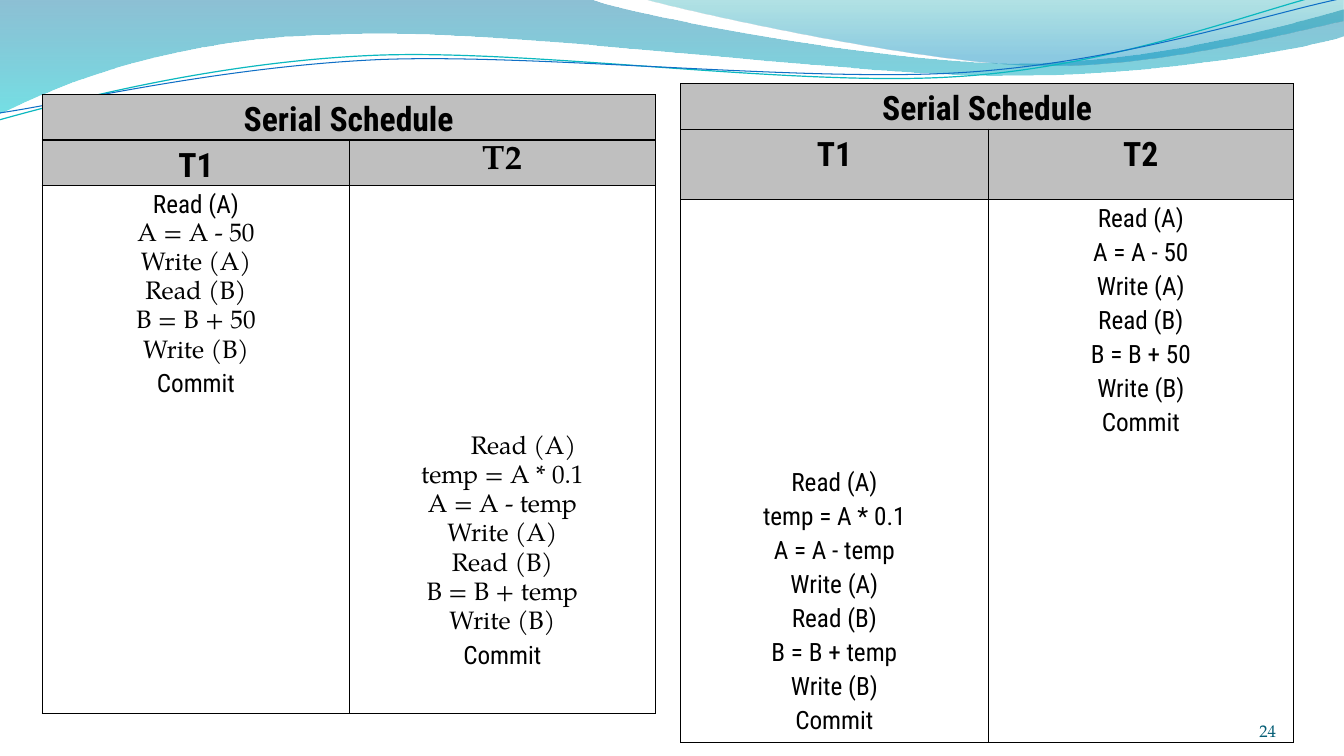
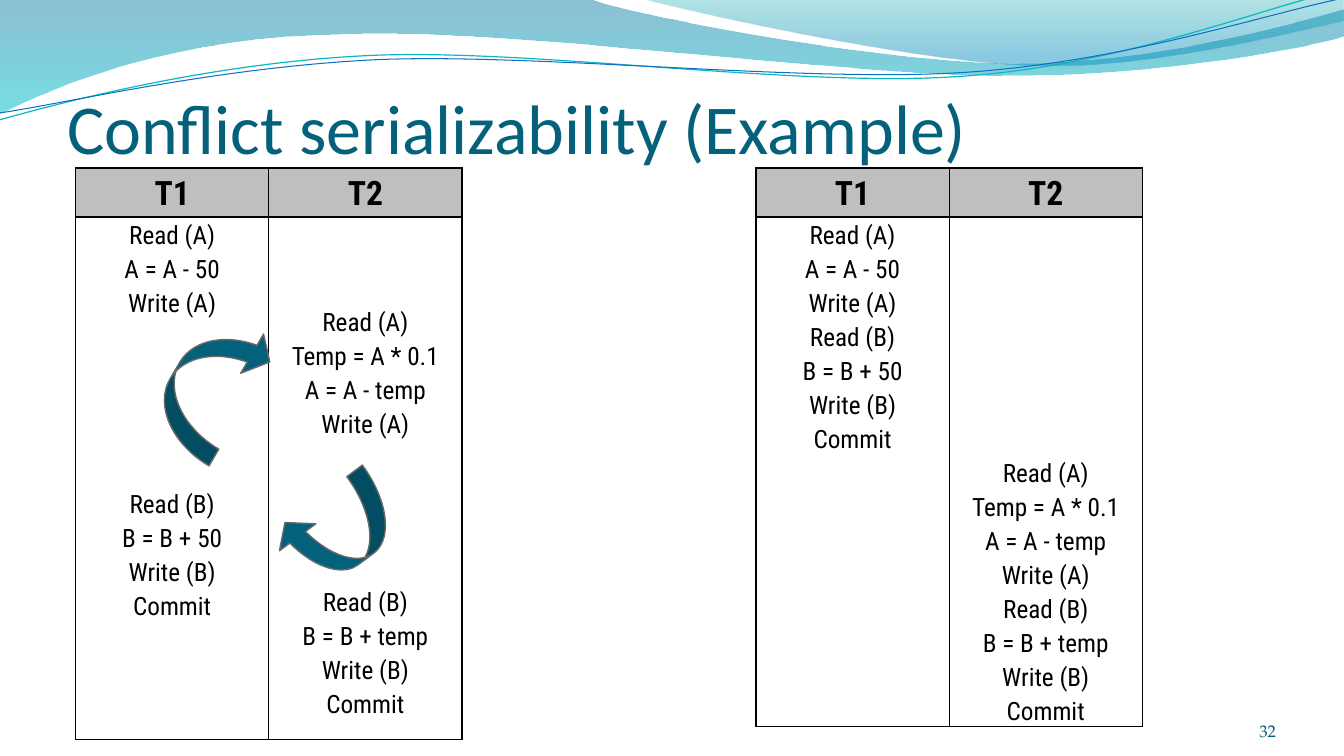
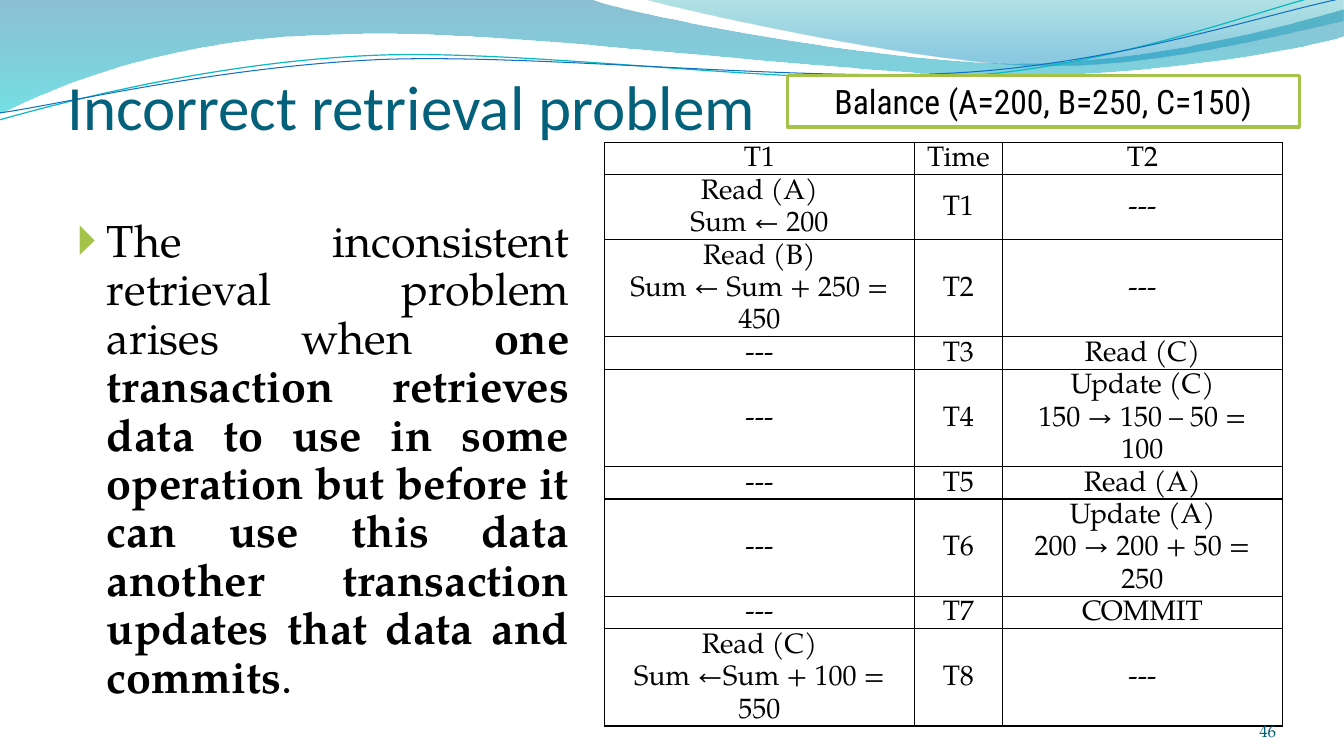
from lxml import etree
from pptx import Presentation
from pptx.dml.color import RGBColor
from pptx.enum import shapes, text
from pptx.oxml import ns
from pptx.util import Pt

COLORS = {
    "black": "000000", "white": "FFFFFF", "header": "BFBFBF", "title": "04617B",
    "number": "045D75", "accent": "A5C249", "outline": "696969",
    "teal line": "0AB8BF", "blue line": "0F6FC6",
}
CONDENSED, SERIF, SANS = "Roboto Condensed", "TeX Gyre Pagella", "Calibri"

WAVES = [
    {"start": (-0.7, -0.4),
     "steps": [[(422.6, -0.4)],
               [(456.5, 12.2), (636.5, 45.4), (727.9, 45.4)],
               [(818.6, 45.4), (919.4, 18.7), (959.8, 6.5)],
               [(960.5, 25.9)],
               [(943.9, 31.7), (834.5, 54.7), (715.7, 54)],
               [(596.9, 54), (366.5, 20.2), (247, 24.5)],
               [(123.8, 25.9), (43.9, 59.8), (-0.7, 81.4)]],
     "gradient": [(0, "0074A1", 45), (1, "00C6CF", 55)]},
    {"start": (460.1, -0.4),
     "steps": [[(488.9, 7.9), (654.5, 44.6), (738, 46.8)],
               [(820.8, 49.7), (923, 23), (959.8, 15.1)],
               [(960, 0)]],
     "gradient": [(0, "00A1A9", 30), (0.8, "008BBF", 45)]},
    {"start": (-0.7, 85.7),
     "steps": [[(46.1, 72.7), (151.9, 44.6), (265.7, 39.6)],
               [(379.4, 34.6), (568.1, 62.6), (684, 54.7)],
               [(799.2, 47.5), (900.7, 5.8), (958.3, -7.2)]],
     "line": ("teal line", 0.85)},
    {"start": (0, 80.6),
     "steps": [[(45.4, 74.2), (157, 47.5), (272.2, 42.5)],
               [(386.6, 38.2), (573.1, 59), (687.6, 51.8)],
               [(802.1, 44.6), (903.6, 10.1), (959.8, -1.4)]],
     "line": ("blue line", 0.75)},
]

WITHDRAW = ["Read (A)", "A = A - 50", "Write (A)", "Read (B)", "B = B + 50", "Write (B)", "Commit"]
PERCENT = ["Read (A)", "temp = A * 0.1", "A = A - temp", "Write (A)",
           "Read (B)", "B = B + temp", "Write (B)", "Commit"]
PERCENT_CAPITAL = [line.replace("temp =", "Temp =") if line.startswith("temp") else line
                   for line in PERCENT]


def styled(lines, font=CONDENSED):
    return [(line, font) for line in lines]


def mostly_serif(lines):
    return styled(lines[:-1], SERIF) + styled(lines[-1:])


SERIAL_TITLE = [styled(["Serial Schedule"]), []]
HEADINGS = [styled(["T1"]), styled(["T2"])]
SCHEDULE = {"size": 18, "inset": 5.04, "anchor": text.MSO_ANCHOR.TOP, "ruled": False}
SERIAL = {**SCHEDULE, "columns": [219.6, 218.2], "headers": 2, "merged": True}
PAIR = {**SCHEDULE, "columns": [138, 138], "headers": 1}

SERIAL_FIRST = {
    **SERIAL, "at": (30.2, 67.6), "rows": [32.4, 32.4, 176.4, 201],
    "indent": {(3, 1): 30},
    "cells": [SERIAL_TITLE,
              [styled(["T1"]), styled(["T2"], SERIF)],
              [styled(WITHDRAW[:1]) + mostly_serif(WITHDRAW[1:]), []],
              [[], mostly_serif(PERCENT)]],
}
SERIAL_SECOND = {
    **SERIAL, "at": (486.2, 59.8), "rows": [32.4, 50.5, 188.6, 199],
    "cells": [SERIAL_TITLE, HEADINGS, [[], styled(WITHDRAW)], [styled(PERCENT), []]],
}
INTERLEAVED = {
    **PAIR, "at": (54, 120), "rows": [35, 192, 181.4],
    "top": {(1, 1): 62, (2, 1): 70},
    "cells": [HEADINGS,
              [styled(WITHDRAW[:3]), styled(PERCENT_CAPITAL[:4])],
              [styled(WITHDRAW[3:]), styled(PERCENT_CAPITAL[4:])]],
}
EQUIVALENT = {
    **PAIR, "at": (540, 120), "rows": [35, 168, 194],
    "cells": [HEADINGS, [styled(WITHDRAW), []], [[], styled(PERCENT_CAPITAL)]],
}

IDLE = ["---"]
RETRIEVAL_STEPS = [
    (1, ["T1"], "Time", ["T2"]),
    (2, ["Read (A)", "Sum ← 200"], "T1", IDLE),
    (3, ["Read (B)", "Sum ← Sum + 250 = 450"], "T2", IDLE),
    (1, IDLE, "T3", ["Read (C)"]),
    (3, IDLE, "T4", ["Update (C)", "150 → 150 – 50 = 100"]),
    (1, IDLE, "T5", ["Read (A)"]),
    (3, IDLE, "T6", ["Update (A)", "200 → 200 + 50 = 250"]),
    (1, IDLE, "T7", ["COMMIT"]),
    (3, ["Read (C)", "Sum ←Sum + 100 = 550"], "T8", IDLE),
]
RETRIEVAL = {
    "at": (432, 101.5), "columns": [221, 63.2, 199.8],
    "rows": [23.15 * count for count, *_ in RETRIEVAL_STEPS],
    "headers": 0, "size": 20, "inset": 8.64, "anchor": text.MSO_ANCHOR.MIDDLE, "ruled": True,
    "cells": [[styled(first, SERIF), styled([time], SERIF), styled(second, SERIF)]
              for _, first, time, second in RETRIEVAL_STEPS],
}

ARROWS = [((100.1, 247, 102.2, 55.4), 300.3), ((198.7, 352.1, 85, 55.4), 143.4)]
BALANCE = "Balance (A=200, B=250, C=150)"
EXPLANATION = [
    ("The inconsistent retrieval problem arises when ", False),
    ("one transaction retrieves data to use in some operation but before it can use "
     "this data another transaction updates that data and commits", True),
    (". ", False),
]
SLIDES = [
    {"layout": 6, "number": "24", "tables": [SERIAL_FIRST, SERIAL_SECOND]},
    {"layout": 5, "number": "32", "title": ("Conflict serializability (Example)", 50, 64.8),
     "tables": [INTERLEAVED, EQUIVALENT], "arrows": ARROWS},
    {"layout": 1, "number": "46", "title": ("Incorrect retrieval problem", 45, 46.8),
     "body": EXPLANATION, "tables": [RETRIEVAL], "balance": BALANCE},
]


def color(name):
    return RGBColor.from_string(COLORS[name])


def points(values):
    return [Pt(value) for value in values]


def add_run(paragraph, words, font, size, ink="black", bold=False):
    run = paragraph.add_run()
    run.text = words
    run.font.name, run.font.size, run.font.bold = font, Pt(size), bold
    run.font.color.rgb = color(ink)


def set_margins(target, left, top, right, bottom):
    target.margin_left, target.margin_top = Pt(left), Pt(top)
    target.margin_right, target.margin_bottom = Pt(right), Pt(bottom)


def place(shape, *box):
    shape.left, shape.top, shape.width, shape.height = points(box)


def bend(shape, steps):
    segments = iter(list(shape.element.iter(ns.qn("a:lnTo"))))
    for step in steps:
        parts = [next(segments) for _ in step]
        if len(parts) == 3:
            curve = etree.Element(ns.qn("a:cubicBezTo"))
            parts[0].addprevious(curve)
            for part in parts:
                curve.append(part[0])
                part.getparent().remove(part)


def add_waves(slide, master):
    for index, wave in enumerate(WAVES):
        builder = slide.shapes.build_freeform(*points(wave["start"]))
        builder.add_line_segments([points(point) for step in wave["steps"] for point in step],
                                  close="gradient" in wave)
        shape = builder.convert_to_shape()
        bend(shape, wave["steps"])
        shape.shadow.inherit = False
        if "gradient" in wave:
            shape.line.fill.background()
            shape.fill.gradient()
            shape.fill.gradient_angle = 270
            for stop, (position, hue, opacity) in zip(shape.fill.gradient_stops, wave["gradient"]):
                stop.position = position
                stop.color.rgb = RGBColor.from_string(hue)
            for node, (_, _, opacity) in zip(shape.element.iter(ns.qn("a:srgbClr")), wave["gradient"]):
                etree.SubElement(node, ns.qn("a:alpha"), val=str(opacity * 1000))
        else:
            shape.fill.background()
            name, width = wave["line"]
            shape.line.color.rgb, shape.line.width = color(name), Pt(width)
        shape.element.nvSpPr.cNvPr.set("id", str(100 + index))
        master.element.cSld.spTree.insert(2 + index, shape.element)


def set_border(cell, side, visible):
    line = etree.SubElement(cell._tc.get_or_add_tcPr(), ns.qn("a:ln" + side), w=str(Pt(1)))
    if visible:
        fill = etree.SubElement(line, ns.qn("a:solidFill"))
        etree.SubElement(fill, ns.qn("a:srgbClr"), val=COLORS["black"])
    else:
        etree.SubElement(line, ns.qn("a:noFill"))


def fill_cell(cell, lines, data, row, column):
    header = row < data["headers"]
    ruled = data["ruled"]
    last = row == len(data["rows"]) - 1
    set_border(cell, "L", True)
    set_border(cell, "R", True)
    set_border(cell, "T", ruled or row <= data["headers"])
    set_border(cell, "B", ruled or header or last)
    if header:
        cell.fill.solid()
        cell.fill.fore_color.rgb = color("header")
    else:
        cell.fill.background()
    top = data.get("top", {}).get((row, column), 0)
    set_margins(cell, data["inset"], top, data["inset"], 0)
    cell.vertical_anchor = data["anchor"]
    for index, (words, font) in enumerate(lines):
        paragraph = cell.text_frame.add_paragraph() if index else cell.text_frame.paragraphs[0]
        paragraph.alignment = text.PP_ALIGN.CENTER
        paragraph.line_spacing = 1.15
        add_run(paragraph, words, font, 24 if header else data["size"], bold=header)
        indent = data.get("indent", {}).get((row, column))
        if indent and index == 0:
            paragraph._p.get_or_add_pPr().set("marL", str(Pt(indent)))


def add_schedule(slide, data):
    widths, heights = data["columns"], data["rows"]
    table = slide.shapes.add_table(len(heights), len(widths), *points(data["at"]),
                                   Pt(sum(widths)), Pt(sum(heights))).table
    table.first_row = table.horz_banding = False
    for column, width in zip(table.columns, widths):
        column.width = Pt(width)
    for row, height in zip(table.rows, heights):
        row.height = Pt(height)
    if data.get("merged"):
        table.cell(0, 0).merge(table.cell(0, len(widths) - 1))
    for row, cells in enumerate(data["cells"]):
        for column, lines in enumerate(cells):
            fill_cell(table.cell(row, column), lines, data, row, column)


def fill_title(slide, words, size, height):
    title = slide.shapes.title
    place(title, 48, 55.4, 864, height)
    frame = title.text_frame
    frame.auto_size = text.MSO_AUTO_SIZE.NONE
    frame.vertical_anchor = text.MSO_ANCHOR.BOTTOM
    set_margins(frame, 0, 3.6, 0, 0)
    frame.paragraphs[0].alignment = text.PP_ALIGN.LEFT
    add_run(frame.paragraphs[0], words, SANS, size, "title")


def fill_body(slide, runs):
    body = slide.placeholders[1]
    place(body, 48.2, 152.6, 365.8, 345.6)
    body.text_frame.auto_size = text.MSO_AUTO_SIZE.NONE
    paragraph = body.text_frame.paragraphs[0]
    paragraph.alignment = text.PP_ALIGN.JUSTIFY
    paragraph.line_spacing, paragraph.space_before = 0.9, Pt(0)
    properties = paragraph._p.get_or_add_pPr()
    properties.set("marL", str(Pt(21)))
    properties.set("indent", str(Pt(-21)))
    bullet_color = etree.SubElement(properties, ns.qn("a:buClr"))
    etree.SubElement(bullet_color, ns.qn("a:srgbClr"), val=COLORS["accent"])
    etree.SubElement(properties, ns.qn("a:buChar"), char="🞂")
    for words, bold in runs:
        add_run(paragraph, words, SERIF, 32, bold=bold)


def add_number(slide, number):
    frame = slide.shapes.add_textbox(*points((831.6, 500.4, 79.9, 28.8))).text_frame
    frame.word_wrap = True
    frame.vertical_anchor = text.MSO_ANCHOR.BOTTOM
    set_margins(frame, 0, 0, 0, 0)
    frame.paragraphs[0].alignment = text.PP_ALIGN.RIGHT
    add_run(frame.paragraphs[0], number, SERIF, 12, "number")


def add_filled(slide, kind, box, fill, line, width):
    shape = slide.shapes.add_shape(kind, *points(box))
    shape.shadow.inherit = False
    shape.fill.solid()
    shape.fill.fore_color.rgb = color(fill)
    shape.line.color.rgb, shape.line.width = color(line), Pt(width)
    return shape


def add_arrow(slide, box, rotation):
    arrow = add_filled(slide, shapes.MSO_SHAPE.CURVED_DOWN_ARROW, box, "title", "outline", 1)
    arrow.rotation = rotation
    arrow.adjustments[1] = 0.585


def add_balance(slide, words):
    box = add_filled(slide, shapes.MSO_SHAPE.RECTANGLE, (562.3, 54, 365.8, 36.7),
                     "white", "accent", 2.25)
    paragraph = box.text_frame.paragraphs[0]
    paragraph.alignment = text.PP_ALIGN.CENTER
    add_run(paragraph, words, CONDENSED, 24)


def main():
    presentation = Presentation()
    presentation.slide_width, presentation.slide_height = Pt(960), Pt(540)
    for index, content in enumerate(SLIDES):
        slide = presentation.slides.add_slide(presentation.slide_layouts[content["layout"]])
        if index == 0:
            add_waves(slide, presentation.slide_master)
        if "title" in content:
            fill_title(slide, *content["title"])
        if "body" in content:
            fill_body(slide, content["body"])
        for data in content["tables"]:
            add_schedule(slide, data)
        for box, rotation in content.get("arrows", []):
            add_arrow(slide, box, rotation)
        if "balance" in content:
            add_balance(slide, content["balance"])
        add_number(slide, content["number"])
    presentation.save("out.pptx")


if __name__ == "__main__":
    main()
